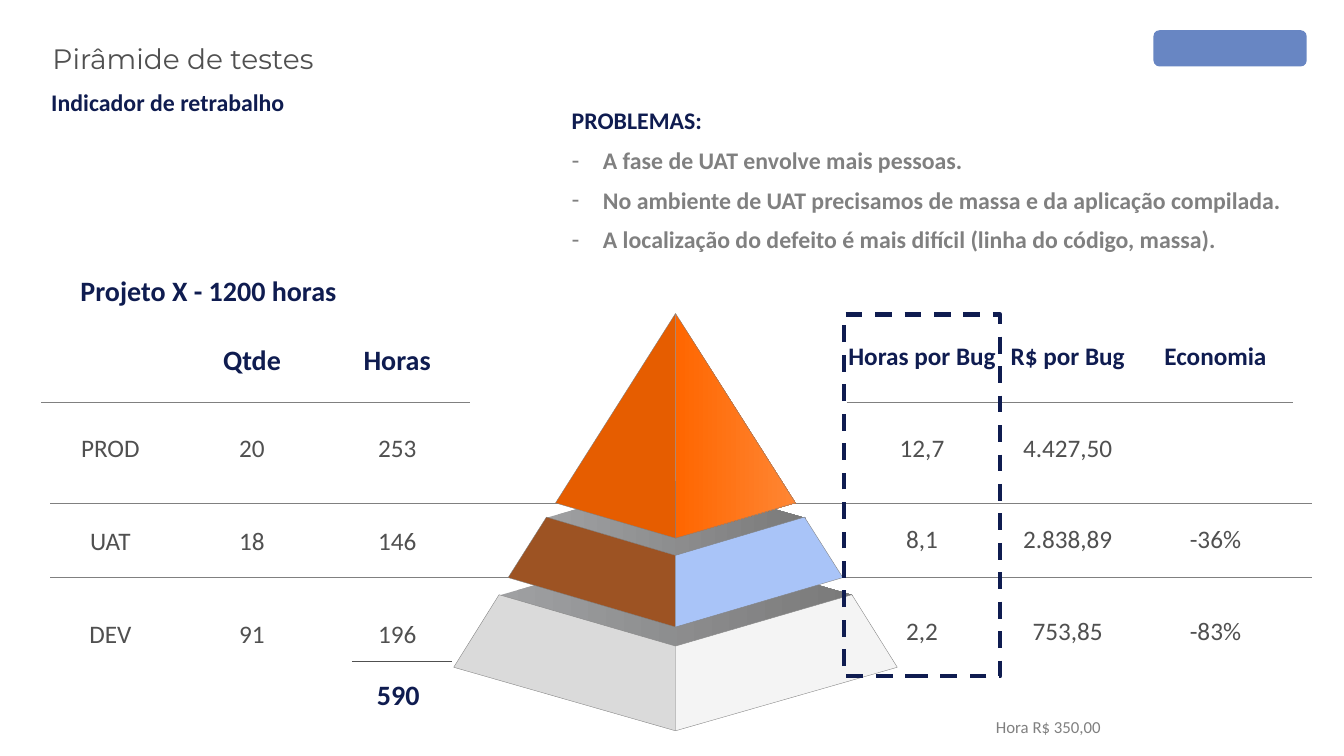
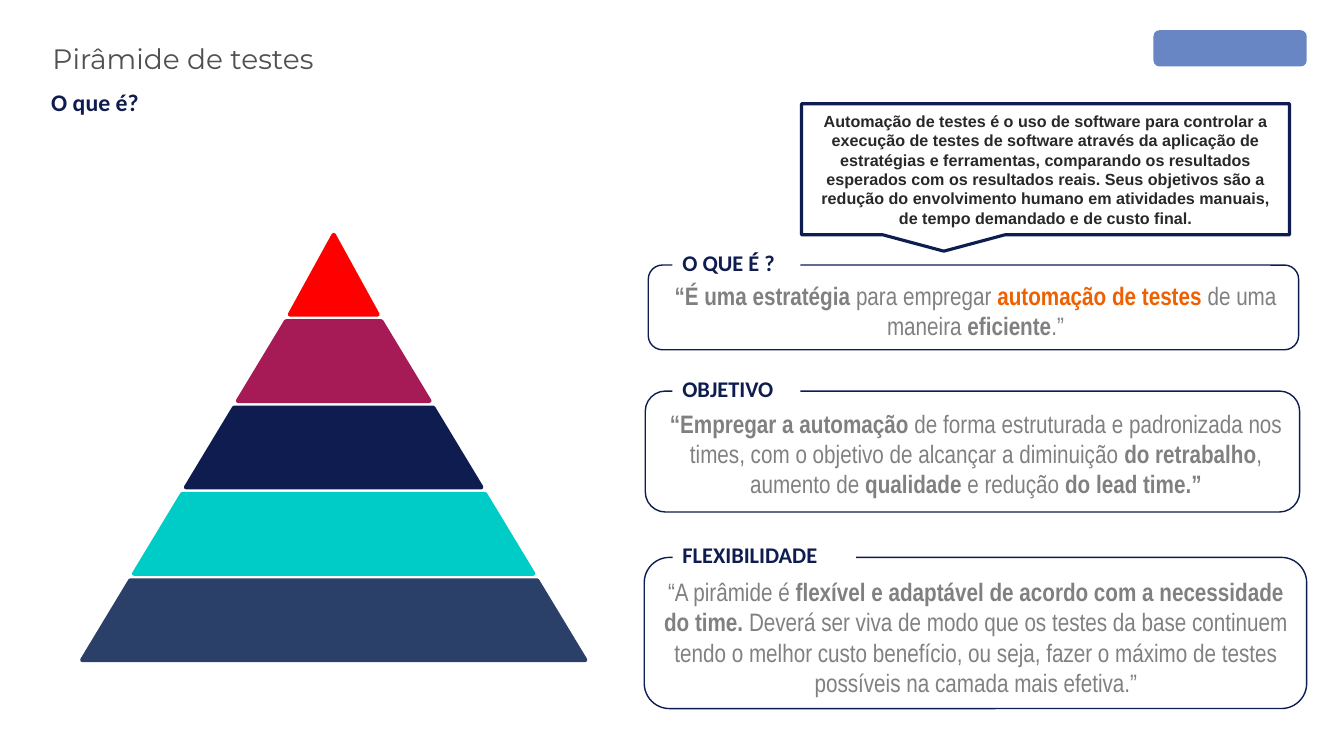
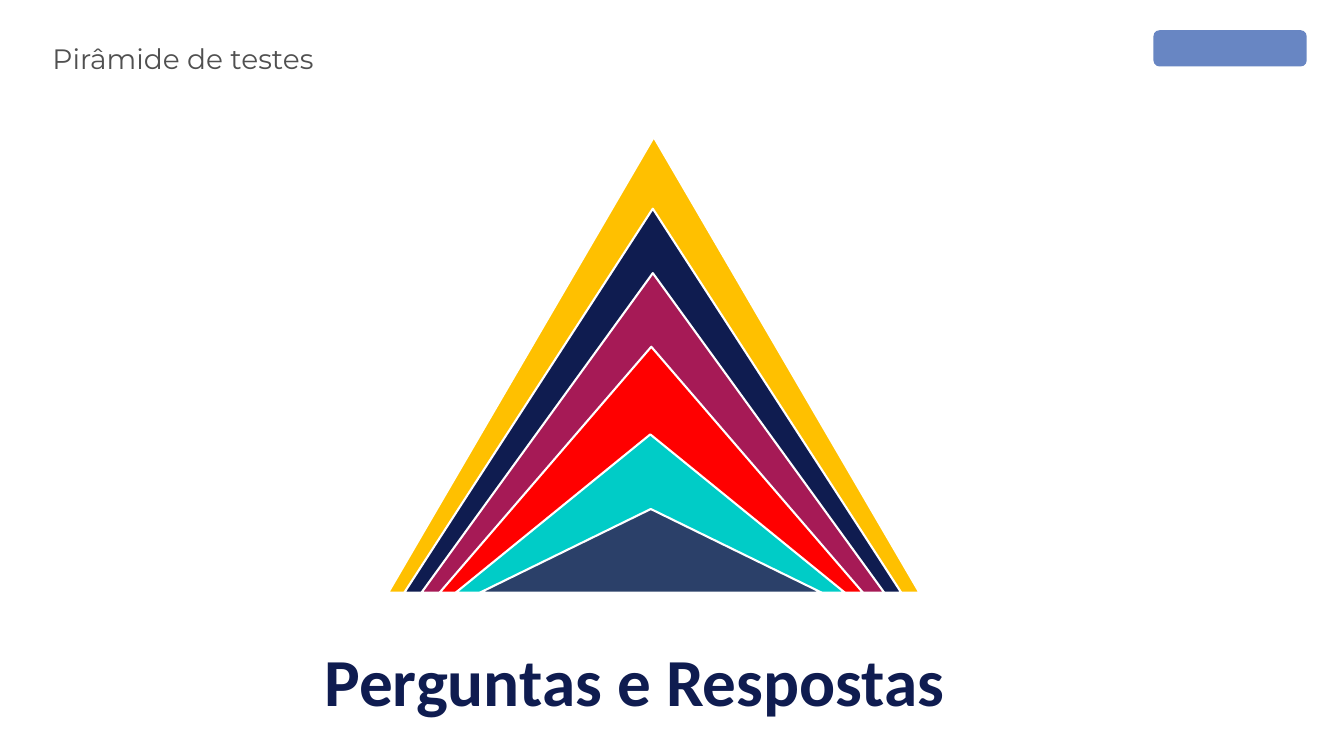
"""Build three slides about the test pyramid."""
from dataclasses import dataclass

from lxml import etree
from pptx import Presentation
from pptx.dml.color import RGBColor
from pptx.enum.dml import MSO_LINE
from pptx.enum.shapes import MSO_CONNECTOR, MSO_SHAPE
from pptx.enum.text import MSO_ANCHOR, MSO_AUTO_SIZE, PP_ALIGN
from pptx.oxml.ns import qn
from pptx.util import Inches, Pt

LEFT, CENTER = PP_ALIGN.LEFT, PP_ALIGN.CENTER
MIDDLE, TOP = MSO_ANCHOR.MIDDLE, MSO_ANCHOR.TOP
NO_AUTOFIT = MSO_AUTO_SIZE.NONE
RECTANGLE, ROUNDED = MSO_SHAPE.RECTANGLE, MSO_SHAPE.ROUNDED_RECTANGLE
TRAPEZOID, TRIANGLE = MSO_SHAPE.TRAPEZOID, MSO_SHAPE.ISOSCELES_TRIANGLE
DIAMOND, CALLOUT = MSO_SHAPE.DIAMOND, MSO_SHAPE.RECTANGULAR_CALLOUT
STRAIGHT, DASH = MSO_CONNECTOR.STRAIGHT, MSO_LINE.DASH
NO_TABLE_STYLE = "{2D5ABB26-0587-4C30-8999-92F81FD0307C}"


@dataclass(frozen=True)
class Theme:
    navy: str = "0F1C50"
    slate: str = "2B4069"
    teal: str = "00CCC7"
    red: str = "FF0000"
    plum: str = "A61A56"
    gold: str = "FFC000"
    orange: str = "EE6000"
    mark: str = "6886C3"
    white: str = "FFFFFF"
    ink: str = "282828"
    text: str = "505050"
    gray: str = "808080"
    cap: tuple = ("9FA0A2", "7A7A7A")
    top_left: str = "E65D00"
    top_right: tuple = ("FF6600", "FF8633")
    middle_left: str = "9D5323"
    middle_right: str = "A9C4F8"
    base_left: str = "DADADA"
    base_right: str = "F4F4F4"
    title_font: str = "Montserrat"
    label_font: str = "Calibri"
    quote_font: str = "Arial Narrow"
    note_font: str = "Arial"
    closing_size: float = 48
    title_size: float = 20
    table_size: float = 18
    heading_size: float = 17
    card_size: float = 16
    small_size: float = 12
    note_size: float = 11.5


theme = Theme()


def paint(shape, fill=None, line=None, width=1):
    shape.shadow.inherit = False
    if fill is None:
        shape.fill.background()
    elif isinstance(fill, tuple):
        shape.fill.gradient()
        shape.fill.gradient_angle = 0
        for stop, color in zip(shape.fill.gradient_stops, fill):
            stop.color.rgb = RGBColor.from_string(color)
    else:
        shape.fill.solid()
        shape.fill.fore_color.rgb = RGBColor.from_string(fill)
    if line is None:
        shape.line.fill.background()
    else:
        shape.line.color.rgb = RGBColor.from_string(line)
        shape.line.width = Pt(width)


def write(paragraph, text, size, color, bold=True, font=theme.label_font, alignment=LEFT):
    paragraph.text = text
    paragraph.alignment = alignment
    paragraph.font.size = Pt(size)
    paragraph.font.name = font
    paragraph.font.bold = bold
    paragraph.font.color.rgb = RGBColor.from_string(color)


presentation = Presentation()
presentation.slide_width = Inches(13.33)
presentation.slide_height = Inches(7.5)

slides = []
for layout_index in (1, 5, 5):
    slide = presentation.slides.add_slide(presentation.slide_layouts[layout_index])
    title = slide.shapes.title
    title.left, title.top, title.width, title.height = map(Inches, (0.42, 0.21, 7.27, 0.78))
    title.text_frame.vertical_anchor = MIDDLE
    title.text_frame.auto_size = NO_AUTOFIT
    paragraph = title.text_frame.paragraphs[0]
    write(paragraph, "Pirâmide de testes", theme.title_size, theme.text, False, theme.title_font)
    paragraph.line_spacing = 0.9
    slides.append(slide)
rework_slide, definition_slide, closing_slide = slides

brand_block = rework_slide.shapes.add_shape(ROUNDED, *map(Inches, (11.44, 0.3, 1.52, 0.36)))
paint(brand_block, theme.mark)
presentation.slide_master.shapes.element.append(brand_block.element)

labels = [
    (rework_slide, "Indicador de retrabalho", (0.41, 0.82, 3.85, 0.39), theme.heading_size, theme.navy, True),
    (rework_slide, "Projeto X - 1200 horas", (0.7, 2.66, 3.03, 0.44), theme.title_size, theme.navy, True),
    (rework_slide, "590", (3.64, 6.67, 0.7, 0.44), theme.title_size, theme.navy, True),
    (rework_slide, "Hora R$ 350,00", (9.78, 7.06, 1.4, 0.3), theme.small_size, theme.gray, False),
    (definition_slide, "O que é?", (0.41, 0.82, 3.85, 0.39), theme.heading_size, theme.navy, True),
    (closing_slide, "Perguntas e Respostas", (3.12, 6.29, 7.8, 0.91), theme.closing_size, theme.navy, True),
]
for slide, text, box, size, color, bold in labels:
    label = slide.shapes.add_textbox(*map(Inches, box))
    label.text_frame.word_wrap = True
    write(label.text_frame.paragraphs[0], text, size, color, bold)

problems = rework_slide.placeholders[1]
problems.left, problems.top, problems.width, problems.height = map(Inches, (5.57, 1, 7.7, 1.6))
problems.text_frame.auto_size = NO_AUTOFIT
problems.text_frame.vertical_anchor = TOP
problem_lines = [
    "PROBLEMAS:",
    "A fase de UAT envolve mais pessoas.",
    "No ambiente de UAT precisamos de massa e da aplicação compilada.",
    "A localização do defeito é mais difícil (linha do código, massa).",
]
for index, text in enumerate(problem_lines):
    paragraph = problems.text_frame.add_paragraph() if index else problems.text_frame.paragraphs[0]
    properties = paragraph._p.get_or_add_pPr()
    indent = Inches(0.31) if index else 0
    properties.set("marL", str(indent))
    properties.set("indent", str(-indent))
    if index:
        etree.SubElement(properties, qn("a:buChar")).set("char", "-")
    else:
        etree.SubElement(properties, qn("a:buNone"))
    write(paragraph, text, theme.heading_size, theme.gray if index else theme.navy)
    paragraph.space_before = Pt(8 if index else 0)

for left, right, top, color in [
    (0.5, 13.01, 4.99, theme.gray),
    (0.5, 13.01, 5.73, theme.gray),
    (3.49, 4.48, 6.56, theme.text),
]:
    rule = rework_slide.shapes.add_connector(STRAIGHT, *map(Inches, (left, top, right, top)))
    rule.line.color.rgb = RGBColor.from_string(color)
    rule.line.width = Pt(0.5)
    etree.SubElement(rule.element.spPr, qn("a:effectLst"))

for box in [(4.96, 5.4, 3.5, 1.01), (5.41, 4.77, 2.58, 0.74)]:
    paint(rework_slide.shapes.add_shape(DIAMOND, *map(Inches, box)), theme.cap)

axis = 6.7
tiers = [
    (1.75, 5.9, 2.2, 6.62, 6.41, 7.25, theme.base_left, theme.base_right),
    (1.28, 5.13, 1.66, 5.73, 5.51, 6.22, theme.middle_left, theme.middle_right),
    (0, 3.11, 1.19, 4.99, 3.11, 5.34, theme.top_left, theme.top_right),
]
for upper_half, upper, lower_half, lower, edge_top, edge_bottom, left_fill, right_fill in tiers:
    for side, fill in ((-1, left_fill), (1, right_fill)):
        outline = [
            (axis, edge_bottom),
            (axis + side * lower_half, lower),
            (axis + side * upper_half, upper),
        ]
        builder = rework_slide.shapes.build_freeform(Inches(axis), Inches(edge_top))
        builder.add_line_segments([(Inches(x), Inches(y)) for x, y in outline])
        paint(builder.convert_to_shape(), fill, theme.gray, 0.25)

tables = [
    ((0.41, 3.16), (1.37, 1.44, 1.44), (0.83, 0.92, 0.92, 0.92), theme.title_size, [
        ("", "Qtde", "Horas"),
        ("PROD", "20", "253"),
        ("UAT", "18", "146"),
        ("DEV", "91", "196"),
    ]),
    ((8.4, 3.08), (1.49, 1.4, 1.53), (0.91, 0.91, 0.91, 0.91), theme.table_size, [
        ("Horas por Bug", "R$ por Bug", "Economia"),
        ("12,7", "4.427,50", ""),
        ("8,1", "2.838,89", "-36%"),
        ("2,2", "753,85", "-83%"),
    ]),
]
for (left, top), widths, heights, header_size, rows in tables:
    box = (left, top, sum(widths), sum(heights))
    frame = rework_slide.shapes.add_table(len(rows), len(widths), *map(Inches, box))
    table = frame.table
    table.first_row = table.horz_banding = False
    for style in frame.element.iter(qn("a:tableStyleId")):
        style.text = NO_TABLE_STYLE
    for column, width in zip(table.columns, widths):
        column.width = Inches(width)
    for row_index, (row, height, values) in enumerate(zip(table.rows, heights, rows)):
        row.height = Inches(height)
        header = row_index == 0
        for cell, text in zip(row.cells, values):
            cell.fill.background()
            cell.vertical_anchor = MIDDLE
            cell.margin_left = cell.margin_right = cell.margin_top = Inches(0.01)
            cell.margin_bottom = 0
            if text:
                write(cell.text_frame.paragraphs[0], text,
                      header_size if header else theme.table_size,
                      theme.navy if header else theme.text, header, alignment=CENTER)
            if header:
                border = etree.Element(qn("a:lnB"), w=str(Pt(1)))
                solid = etree.SubElement(border, qn("a:solidFill"))
                etree.SubElement(solid, qn("a:srgbClr")).set("val", theme.gray)
                cell._tc.get_or_add_tcPr().insert(0, border)

highlight = rework_slide.shapes.add_shape(RECTANGLE, *map(Inches, (8.37, 3.12, 1.55, 3.59)))
paint(highlight, None, theme.navy, 3)
highlight.line.dash_style = DASH

for index, color in enumerate((theme.red, theme.plum, theme.navy, theme.teal, theme.slate)):
    width = 0.87 + 1.03 * index
    box = (3.31 - width / 2, 2.33 + 0.857 * index, width, 0.79)
    layer = definition_slide.shapes.add_shape(TRAPEZOID, *map(Inches, box))
    layer.adjustments[0] = 0.604 if index else 0.55
    paint(layer, color, color, 3)

cards = [
    ("O QUE É ?", (6.43, 2.63, 6.45, 0.84), 1.27, (6.39, 2.73, 6.57, 0.71), [
        ("“É uma estratégia ", True, theme.gray),
        ("para empregar ", False, theme.gray),
        ("automação de testes ", True, theme.orange),
        ("de uma maneira ", False, theme.gray),
        ("eficiente", True, theme.gray),
        (".”", False, theme.gray),
    ]),
    ("OBJETIVO", (6.4, 3.88, 6.49, 1.2), 1.27, (6.47, 4, 6.42, 1.01), [
        ("“Empregar a automação ", True, theme.gray),
        ("de forma estruturada e padronizada nos times, com o objetivo de alcançar a diminuição",
         False, theme.gray),
        (" do retrabalho", True, theme.gray),
        (", aumento de ", False, theme.gray),
        ("qualidade", True, theme.gray),
        (" e redução ", False, theme.gray),
        ("do lead time.”", True, theme.gray),
    ]),
    ("FLEXIBILIDADE", (6.39, 5.53, 6.57, 1.5), 1.82, (6.47, 5.67, 6.42, 1.31), [
        ("“A pirâmide é ", False, theme.gray),
        ("flexível e adaptável de acordo com a necessidade do time. ", True, theme.gray),
        ("Deverá ser viva de modo que os testes da base continuem tendo o melhor custo benefício, "
         "ou seja, fazer o máximo de testes possíveis na camada mais efetiva.”", False, theme.gray),
    ]),
]
for heading, card_box, heading_width, quote_box, quote_runs in cards:
    card = definition_slide.shapes.add_shape(ROUNDED, *map(Inches, card_box))
    paint(card, None, theme.navy, 1)
    heading_box = (6.67, card_box[1] - 0.21, heading_width, 0.37)
    tab = definition_slide.shapes.add_shape(RECTANGLE, *map(Inches, heading_box))
    paint(tab, theme.white)
    tab.text_frame.word_wrap = True
    write(tab.text_frame.paragraphs[0], heading, theme.card_size, theme.navy)
    quote = definition_slide.shapes.add_textbox(*map(Inches, quote_box))
    quote.text_frame.word_wrap = True
    paragraph = quote.text_frame.paragraphs[0]
    write(paragraph, "", theme.table_size, theme.gray, False, theme.quote_font, CENTER)
    for text, bold, color in quote_runs:
        run = paragraph.add_run()
        run.text = text
        run.font.bold = bold
        run.font.color.rgb = RGBColor.from_string(color)

callout = definition_slide.shapes.add_shape(CALLOUT, *map(Inches, (7.95, 1.03, 4.84, 1.3)))
paint(callout, None, theme.navy, 2.25)
callout.text_frame.word_wrap = True
callout.text_frame.vertical_anchor = MIDDLE
write(
    callout.text_frame.paragraphs[0],
    "Automação de testes é o uso de software para controlar a execução de testes de software "
    "através da aplicação de estratégias e ferramentas, comparando os resultados esperados com "
    "os resultados reais. Seus objetivos são a redução do envolvimento humano em atividades "
    "manuais, de tempo demandado e de custo final.",
    theme.note_size, theme.ink, True, theme.note_font, CENTER,
)

base_line = 5.88
for left, top, width, color in [
    (3.85, 1.36, 5.27, theme.gold),
    (4.01, 2.07, 4.93, theme.navy),
    (4.18, 2.71, 4.59, theme.plum),
    (4.36, 3.44, 4.2, theme.red),
    (4.52, 4.31, 3.86, theme.teal),
    (4.76, 5.05, 3.39, theme.slate),
]:
    box = (left, top, width, base_line - top)
    paint(closing_slide.shapes.add_shape(TRIANGLE, *map(Inches, box)), color, theme.white, 1.5)

presentation.save("out.pptx")
